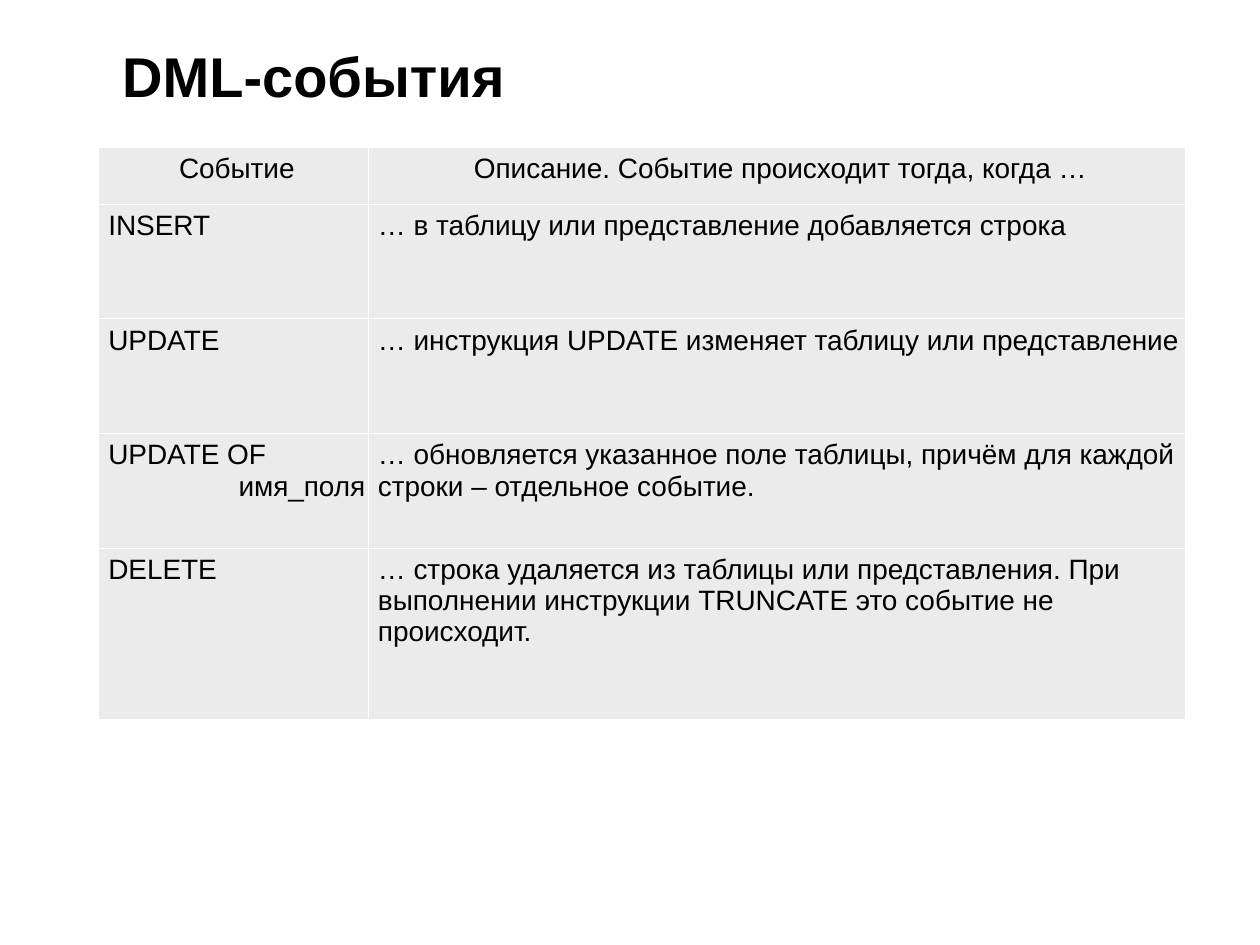
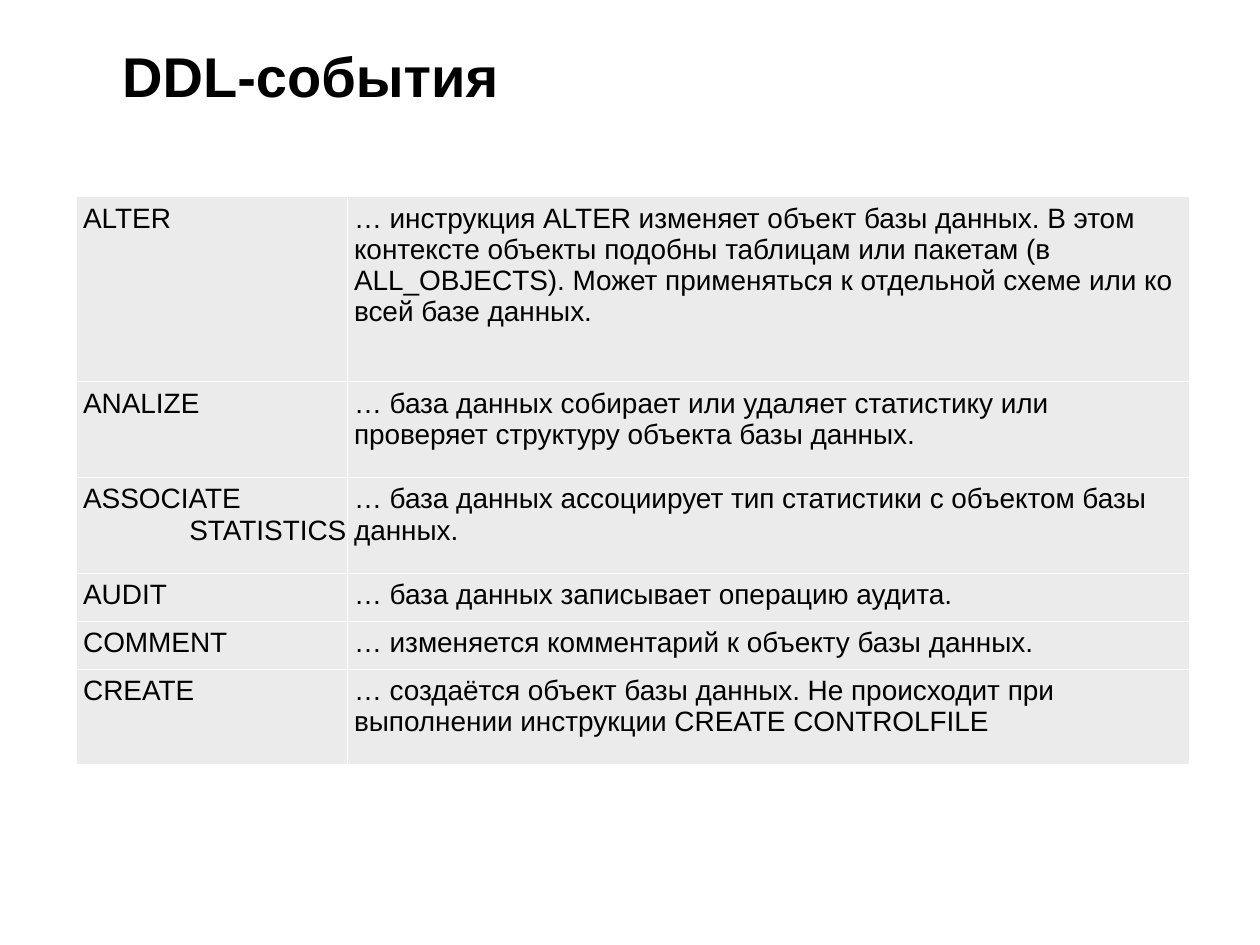
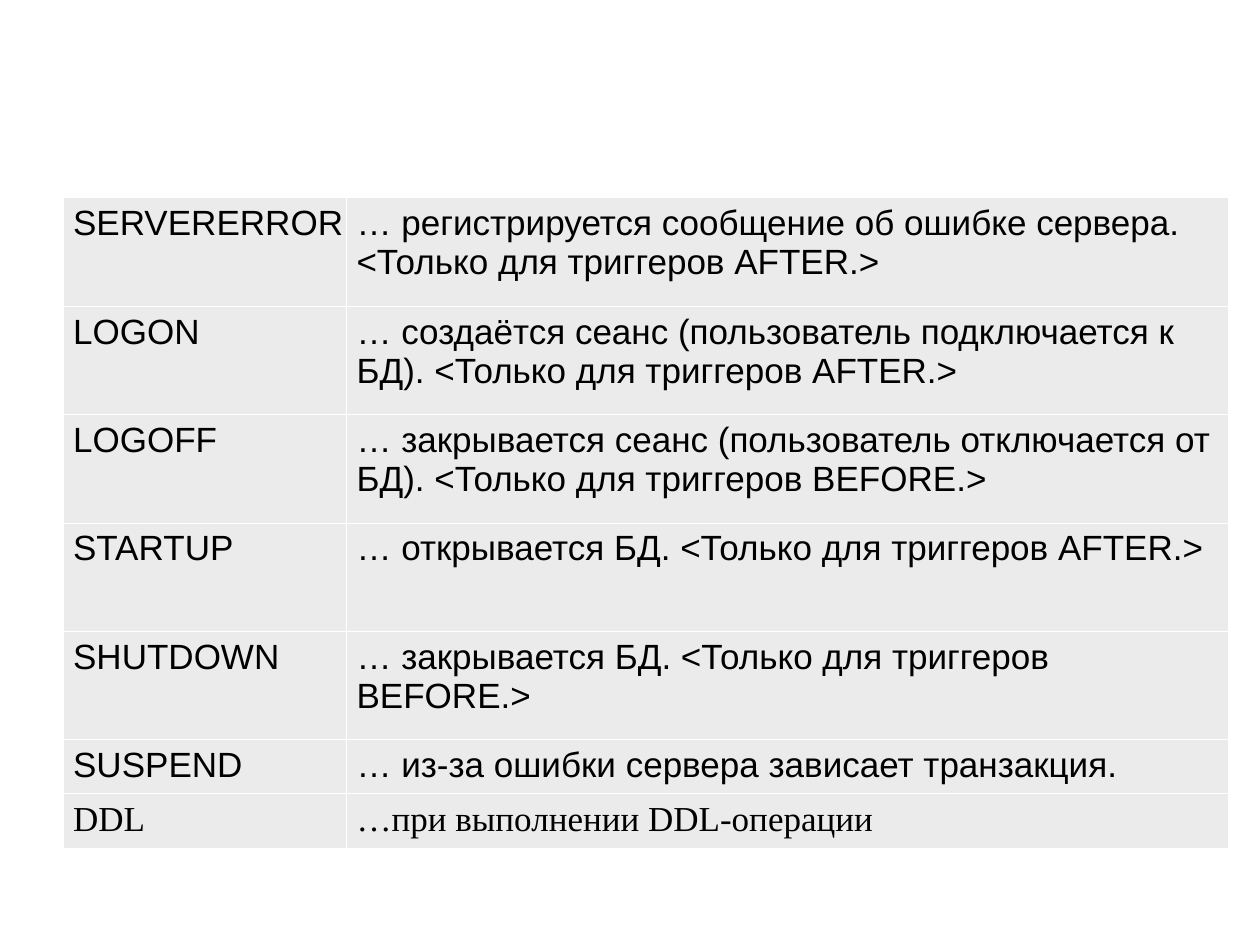
import pptx
import pptx.dml.color
import pptx.enum.text
import pptx.util
from lxml import etree
from pptx.oxml.ns import qn

Inches = pptx.util.Inches
Pt = pptx.util.Pt
ALIGN = pptx.enum.text.PP_ALIGN

BLACK = "000000"
WHITE = "FFFFFF"
CELL_GRAY = "EAEBEA"


def rgb(value):
    return pptx.dml.color.RGBColor.from_string(value)


def style_cell(cell, margins):
    left, right = margins
    cell.margin_left, cell.margin_right = Inches(left), Inches(right)
    cell.margin_top = cell.margin_bottom = Inches(0.05)
    tcPr = cell._tc.get_or_add_tcPr()
    for side in ("a:lnL", "a:lnR", "a:lnT", "a:lnB"):
        ln = etree.SubElement(tcPr, qn(side), w=str(Pt(0.45)))
        line_fill = etree.SubElement(ln, qn("a:solidFill"))
        etree.SubElement(line_fill, qn("a:srgbClr"), val=WHITE)
    cell.fill.solid()
    cell.fill.fore_color.rgb = rgb(CELL_GRAY)


slides = [
    {
        "title": "DML-события",
        "at": (0.78, 1.17),
        "cols": [2.14, 6.49],
        "heights": [0.45, 0.91, 0.91, 0.91, 1.36],
        "margins": (0.08, 0.02),
        "size": 16,
        "header": True,
        "rows": [
            ("Событие", "Описание. Событие происходит тогда, когда …"),
            ("INSERT", "… в таблицу или представление добавляется строка"),
            ("UPDATE", "… инструкция UPDATE изменяет таблицу или представление"),
            ("UPDATE OF\nимя_поля",
             "… обновляется указанное поле таблицы, причём для каждой строки – отдельное событие."),
            ("DELETE",
             "… строка удаляется из таблицы или представления. При выполнении "
             "инструкции TRUNCATE это событие не происходит."),
        ],
    },
    {
        "title": "DDL-события",
        "at": (0.61, 1.56),
        "cols": [2.15, 6.68],
        "heights": [1.47, 0.76, 0.76, 0.38, 0.38, 0.76],
        "margins": (0.05, 0.01),
        "size": 16,
        "header": False,
        "rows": [
            ("ALTER",
             "… инструкция ALTER изменяет объект базы данных. В этом контексте объекты "
             "подобны таблицам или пакетам (в ALL_OBJECTS). Может применяться к отдельной "
             "схеме или ко всей базе данных."),
            ("ANALIZE",
             "… база данных собирает или удаляет статистику или проверяет структуру "
             "объекта базы данных."),
            ("ASSOCIATE\nSTATISTICS",
             "… база данных ассоциирует тип статистики с объектом базы данных."),
            ("AUDIT", "… база данных записывает операцию аудита."),
            ("COMMENT", "… изменяется комментарий к объекту базы данных."),
            ("CREATE",
             "… создаётся объект базы данных. Не происходит при выполнении "
             "инструкции CREATE CONTROLFILE"),
        ],
    },
    {
        "title": None,
        "at": (0.5, 1.57),
        "cols": [2.25, 7],
        "heights": [0.86] * 5 + [0.43] * 2,
        "margins": (0.08, 0.02),
        "size": 20,
        "header": False,
        "rows": [
            ("SERVERERROR",
             "… регистрируется сообщение об ошибке сервера. <Только для триггеров AFTER.>"),
            ("LOGON",
             "… создаётся сеанс (пользователь подключается к БД). <Только для триггеров AFTER.>"),
            ("LOGOFF",
             "… закрывается сеанс (пользователь отключается от БД). <Только для триггеров BEFORE.>"),
            ("STARTUP", "… открывается БД. <Только для триггеров AFTER.>"),
            ("SHUTDOWN", "… закрывается БД. <Только для триггеров BEFORE.>"),
            ("SUSPEND", "… из-за ошибки сервера зависает транзакция."),
            ("DDL", "…при выполнении DDL-операции"),
        ],
    },
]

prs = pptx.Presentation()
prs.slide_width, prs.slide_height = Inches(10), Inches(7.5)
title_only, blank = prs.slide_layouts[5], prs.slide_layouts[6]

for data in slides:
    slide = prs.slides.add_slide(title_only if data["title"] else blank)

    if data["title"]:
        sp = slide.shapes.title
        sp.left, sp.top = Inches(0.97), Inches(0.33)
        sp.width, sp.height = Inches(8.29), Inches(1.03)
        tf = sp.text_frame
        tf.text = data["title"]
        tf.margin_left = tf.margin_right = tf.margin_top = tf.margin_bottom = 0
        tf.vertical_anchor = pptx.enum.text.MSO_ANCHOR.TOP
        tf.auto_size = pptx.enum.text.MSO_AUTO_SIZE.NONE
        p = tf.paragraphs[0]
        p.alignment = ALIGN.LEFT
        p.font.name, p.font.size, p.font.bold = "Arial", Pt(32), True
        p.font.color.rgb = rgb(BLACK)

    left, top = data["at"]
    table = slide.shapes.add_table(
        len(data["rows"]), len(data["cols"]), Inches(left), Inches(top),
        Inches(sum(data["cols"])), Inches(sum(data["heights"]))).table
    table.first_row = table.horz_banding = False
    for column, width in zip(table.columns, data["cols"]):
        column.width = Inches(width)
    for row, height in zip(table.rows, data["heights"]):
        row.height = Inches(height)

    for i, texts in enumerate(data["rows"]):
        for j, text in enumerate(texts):
            cell = table.cell(i, j)
            style_cell(cell, data["margins"])
            cell.text = text
            for k, p in enumerate(cell.text_frame.paragraphs):
                if data["header"] and i == 0:
                    p.alignment = ALIGN.CENTER
                else:
                    p.alignment = ALIGN.RIGHT if k else ALIGN.LEFT
                p.font.name = "Times New Roman" if texts[0] == "DDL" else "Arial"
                p.font.size = Pt(data["size"])
                p.font.color.rgb = rgb(BLACK)

prs.save("out.pptx")
